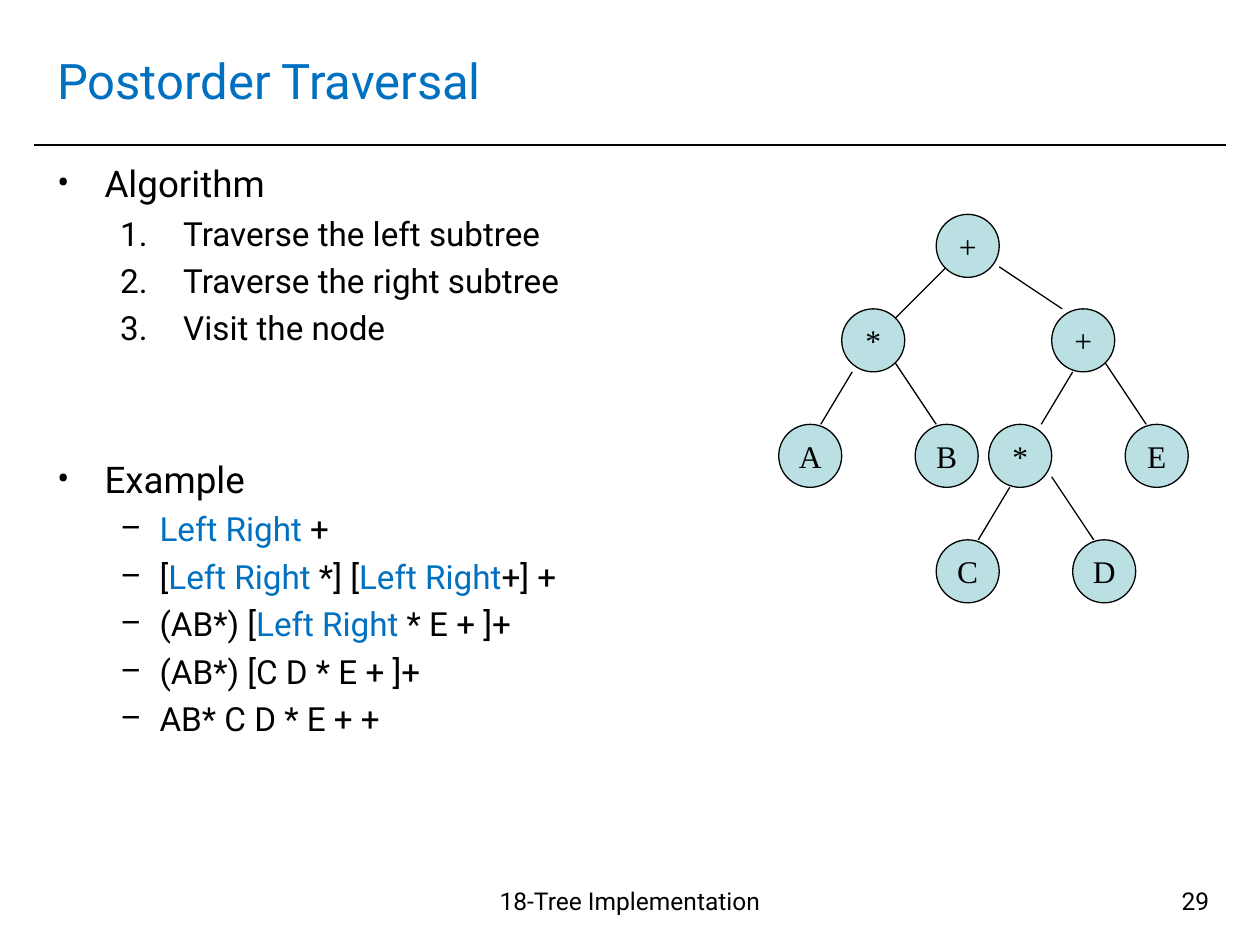
import pptx
import pptx.dml.color
import pptx.enum.shapes
import pptx.enum.text
import pptx.oxml.ns
import pptx.util
from lxml import etree

Pt = pptx.util.Pt
Align = pptx.enum.text.PP_ALIGN
Anchor = pptx.enum.text.MSO_ANCHOR
Kind = pptx.enum.shapes.MSO_SHAPE
Wire = pptx.enum.shapes.MSO_CONNECTOR
HUES = {"ink": "000000", "blue": "0070C0", "node": "BBE0E3"}
SANS, SERIF = "Roboto", "Times New Roman"

STEPS = ["Traverse the left subtree", "Traverse the right subtree", "Visit the node"]
WORD = "Left Right"
FORMS = [
    [WORD, " +"],
    ["[", WORD, " *] [", WORD, "+] +"],
    ["(AB*) [", WORD, " * E + ]+"],
    ["(AB*) [C D * E + ]+"],
    ["AB* C D * E + +"],
]
NODES = [("+", 90, 0), ("*", 36, 54), ("+", 156, 54),
         ("A", 0, 120), ("B", 78, 120), ("*", 120, 120), ("E", 198, 120),
         ("C", 90, 186), ("D", 168, 186)]
EDGES = [(96, 30, 66, 60), (126, 30, 162, 54),
         (42, 90, 24, 120), (66, 84, 90, 120),
         (168, 90, 150, 120), (186, 84, 210, 120),
         (132, 156, 114, 186), (156, 150, 180, 186)]


def color(hue):
    """Return the named colour."""
    return pptx.dml.color.RGBColor.from_string(HUES[hue])


def place(shape, box):
    """Move a shape to a box given in points."""
    shape.left, shape.top, shape.width, shape.height = map(Pt, box)


def write(para, text, size, hue="ink", face=SANS):
    """Add one formatted run to a paragraph."""
    run = para.add_run()
    run.text = text
    run.font.size = Pt(size)
    run.font.name = face
    run.font.color.rgb = color(hue)


def mark(para, tag, key, value, left, hang):
    """Give a paragraph a black bullet and a hanging indent."""
    props = para._p.get_or_add_pPr()
    props.set("marL", str(Pt(left)))
    props.set("indent", str(-Pt(hang)))
    qn = pptx.oxml.ns.qn
    tint = etree.SubElement(props, qn("a:buClr"))
    etree.SubElement(tint, qn("a:srgbClr")).set("val", HUES["ink"])
    etree.SubElement(props, qn("a:buFont")).set("typeface", SANS)
    etree.SubElement(props, qn(tag)).set(key, value)


def link(slide, start, end, width):
    """Draw a plain black line."""
    line = slide.shapes.add_connector(Wire.STRAIGHT, *map(Pt, start + end))
    line.line.color.rgb = color("ink")
    line.line.width = Pt(width)
    etree.SubElement(line._element.spPr, pptx.oxml.ns.qn("a:effectLst"))


def head(slide, box):
    """Place the title and the rule below it."""
    title = slide.shapes.title
    place(title, box)
    frame = title.text_frame
    frame.vertical_anchor = Anchor.MIDDLE
    para = frame.paragraphs[0]
    para.alignment = Align.LEFT
    write(para, "Postorder Traversal", 28, "blue")
    left, top, width, height = box
    rule = top + height + 6.5
    link(slide, (left - 6, rule), (left + width + 6, rule), 1)


def body(slide, box):
    """Fill the body with the algorithm and its example."""
    shape = slide.placeholders[1]
    place(shape, box)
    frame = shape.text_frame
    frame.auto_size = pptx.enum.text.MSO_AUTO_SIZE.NONE
    dot = ("a:buChar", "char", "•", 27, 27)
    num = ("a:buAutoNum", "type", "arabicPeriod", 72, 36)
    dash = ("a:buChar", "char", "–", 58.5, 22.5)
    rows = [(["Algorithm"], 0, dot, 4.5)]
    rows += [([step], 1, num, 4.3) for step in STEPS]
    rows += [(["Example"], 0, dot, 62.5)]
    rows += [(form, 1, dash, 4.3) for form in FORMS]
    for i, (parts, level, style, gap) in enumerate(rows):
        para = frame.add_paragraph() if i else frame.paragraphs[0]
        para.level = level
        para.space_before = Pt(gap)
        mark(para, *style)
        for part in parts:
            write(para, part, 19 if level else 21, "blue" if part == WORD else "ink")


def tree(slide, box):
    """Draw the expression tree from the corner of its box."""
    left, top, side = box
    for x, y, u, v in EDGES:
        link(slide, (left + x, top + y), (left + u, top + v), 0.75)
    for text, x, y in NODES:
        node = slide.shapes.add_shape(
            Kind.OVAL, *map(Pt, (left + x, top + y, side, side)))
        node.shadow.inherit = False
        node.fill.solid()
        node.fill.fore_color.rgb = color("node")
        node.line.color.rgb = color("ink")
        node.line.width = Pt(0.75)
        frame = node.text_frame
        frame.word_wrap = False
        frame.vertical_anchor = Anchor.MIDDLE
        para = frame.paragraphs[0]
        para.alignment = Align.CENTER
        write(para, text, 18, face=SERIF)


def note(slide, box, text, align):
    """Place one text of the footer."""
    frame = slide.shapes.add_textbox(*map(Pt, box)).text_frame
    frame.word_wrap = True
    para = frame.paragraphs[0]
    para.alignment = align
    write(para, text, 14)


def main():
    """Build and save the slide."""
    deck = pptx.Presentation()
    deck.slide_width, deck.slide_height = Pt(720), Pt(540)
    slide = deck.slides.add_slide(deck.slide_layouts[1])
    head(slide, (25.5, 15, 669, 61.5))
    body(slide, (25.5, 88.5, 669, 402.5))
    tree(slide, (445, 122.5, 36))
    note(slide, (241, 502.5, 238, 37.5), "18-Tree Implementation", Align.CENTER)
    note(slide, (530, 502.5, 168, 37.5), "29", Align.RIGHT)
    deck.save("out.pptx")


if __name__ == "__main__":
    main()
